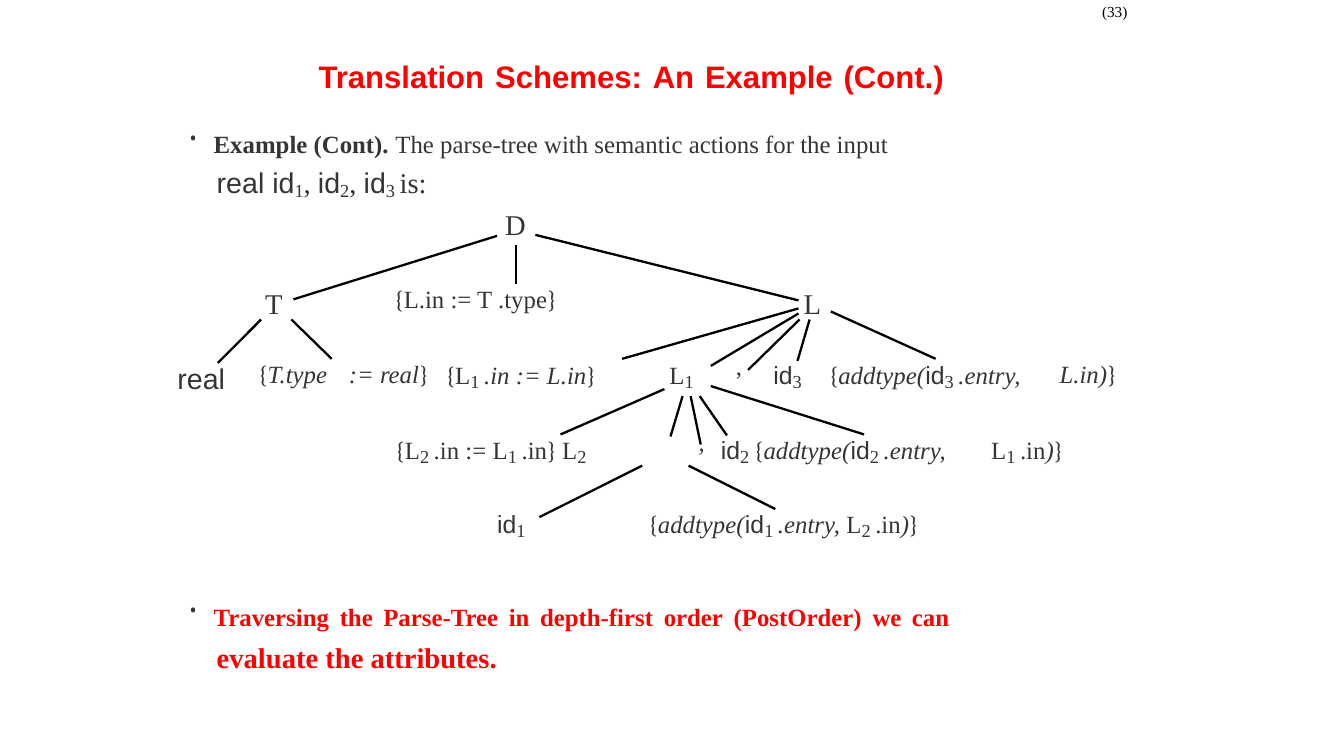
from lxml import etree
from pptx import Presentation
from pptx.dml.color import RGBColor
from pptx.enum.shapes import MSO_CONNECTOR
from pptx.enum.text import MSO_ANCHOR, PP_ALIGN
from pptx.oxml.ns import qn
from pptx.util import Inches, Pt

STRAIGHT = MSO_CONNECTOR.STRAIGHT
TOP = MSO_ANCHOR.TOP
LEFT = PP_ALIGN.LEFT

COLORS = {"ink": "363435", "red": "FF0000", "black": "000000"}
SERIF, SANS, BRACE = "Times New Roman", "Arial", "Cambria"
FULL, SMALL, NODE = 30.6, 22.5, 20.4  # FULL and SMALL shrink once a baseline shift is set

# font, size, bold, italic, colour, baseline shift in percent (None: that of the line)
STYLES = {
    "page": (SERIF, 10.9, False, False, "black", 0),
    "title": (SANS, 22.2, True, False, "red", 0),
    "brace": (BRACE, FULL, False, False, "ink", None),
    "roman": (SERIF, FULL, False, False, "ink", None),
    "italic": (SERIF, FULL, False, True, "ink", None),
    "token": (SANS, FULL, False, False, "ink", None),
    "sub": (SERIF, SMALL, False, False, "ink", -7),
    "strong": (SERIF, FULL, True, False, "ink", None),
    "alert": (SERIF, FULL, True, False, "red", None),
    "node": (SERIF, NODE, False, False, "ink", 0),
    "input": (SANS, NODE, False, False, "ink", 0),
    "index": (SERIF, SMALL, False, False, "ink", -12),
    "alert line": (SERIF, NODE, True, False, "red", 0),
}


def prepare(box):
    """Remove the insets of a text box and return its first paragraph."""
    frame = box.text_frame
    settings = {"margin_left": 0, "margin_top": 0, "margin_right": 0,
                "margin_bottom": 0, "word_wrap": True, "vertical_anchor": TOP}
    for name, value in settings.items():
        setattr(frame, name, value)
    return frame.paragraphs[0]


def write(para, runs, leading=21.2, lift=1, before=1.1, indent=0.01, word_gap=0):
    """Fill a paragraph with (style, text) runs; word_gap widens spaces, in points."""
    para.alignment = LEFT
    para.line_spacing, para.space_before = Pt(leading), Pt(before)
    properties = para._p.get_or_add_pPr()
    properties.set("marL", str(Inches(indent)))
    properties.set("indent", "0")
    for style, text in runs:
        name, size, bold, italic, color, shift = STYLES[style]
        pieces = text.replace(" ", "| |").split("|") if word_gap else [text]
        for piece in pieces:
            span = para.add_run()
            span.text = piece
            looks = {"name": name, "size": Pt(size), "bold": bold, "italic": italic}
            for key, value in looks.items():
                setattr(span.font, key, value)
            span.font.color.rgb = RGBColor.from_string(COLORS[color])
            baseline = lift if shift is None else shift
            run_properties = span.font._element
            if baseline:
                run_properties.set("baseline", str(baseline * 1000))
            if word_gap and piece == " ":
                run_properties.set("spc", str(round(word_gap * 100)))


deck = Presentation()
deck.slide_width, deck.slide_height = Inches(13.33), Inches(7.5)
slide = deck.slides.add_slide(deck.slide_layouts[5])

title = slide.shapes.title
place = {"left": 3.15, "top": 0.62, "width": 6.5, "height": 0.34}
for side, length in place.items():
    setattr(title, side, Inches(length))
write(prepare(title), [("title", "Translation Schemes: An Example (Cont.)")],
      leading=23, word_gap=1.5)

# Branches of the parse tree: from x, y to x, y
branches = {
    "D": [(4.93, 2.34, 2.91, 2.97), (5.12, 2.43, 5.12, 2.82), (5.31, 2.33, 7.92, 2.98)],
    "T": [(2.59, 3.17, 2.16, 3.6), (2.89, 3.17, 3.29, 3.56)],
    "L": [(7.92, 3.11, 7.05, 3.63), (7.92, 3.06, 6.17, 3.56), (7.93, 3.17, 7.42, 3.67),
          (8.03, 3.17, 7.91, 3.58), (8.24, 3.09, 9.28, 3.56)],
    "L1": [(6.77, 3.93, 6.65, 4.33), (6.59, 3.86, 5.56, 4.31), (6.85, 3.93, 6.95, 4.41),
           (6.94, 3.93, 7.21, 4.32), (7.05, 3.83, 8.57, 4.31)],
    "L2": [(6.37, 4.62, 5.35, 5.13), (6.83, 4.62, 7.69, 5.05)],
}
for parent, lines in branches.items():
    for ends in lines:
        branch = slide.shapes.add_connector(STRAIGHT, *[Inches(end) for end in ends])
        branch.line.color.rgb = RGBColor.from_string(COLORS["black"])
        branch.line.width = Pt(1.65)
        etree.SubElement(branch._element.spPr, qn("a:effectLst"))

identifier = {n: [("token", "id"), ("sub", n)] for n in "123"}
addtype = {n: [("brace", "{"), ("italic", "addtype("), ("token", "id"),
               ("sub", n + " "), ("italic", ".entry,")] for n in "123"}
close = [("italic", ")"), ("brace", "}")]

# Labels of the parse tree by top edge: left, width, runs
labels = {
    2.1: [(5.0, 0.3, [("node", "D")])],
    2.86: [(3.9, 2.47, [("brace", "{"), ("roman", "L.in := T .type"), ("brace", "}")])],
    2.88: [(2.62, 0.25, [("node", "T")]), (7.96, 0.28, [("node", "L")])],
    3.52: [(7.29, 0.14, [("roman", ",")])],
    3.6: [
        (2.55, 0.89, [("brace", "{"), ("italic", "T.type")]),
        (3.45, 0.95, [("italic", ":= real"), ("brace", "}")]),
        (4.41, 2.04, [("brace", "{"), ("roman", "L"), ("sub", "1 "),
                      ("italic", ".in := L.in"), ("brace", "}")]),
        (6.63, 0.41, [("roman", "L"), ("sub", "1")]),
        (7.66, 0.42, identifier["3"]),
        (8.21, 2.29, addtype["3"]),
        (10.5, 0.76, [("italic", "L.in")] + close),
    ],
    3.63: [(1.75, 0.54, [("input", "real")])],
    4.27: [(6.92, 0.14, [("roman", ",")])],
    4.34: [
        (3.91, 2.91, [("brace", "{"), ("roman", "L"), ("sub", "2 "), ("roman", ".in := L"),
                      ("sub", "1 "), ("roman", ".in"), ("brace", "} "),
                      ("roman", "L"), ("sub", "2")]),
        (7.14, 2.67, identifier["2"] + [("sub", " ")] + addtype["2"]),
        (9.82, 1.07, [("roman", "L"), ("sub", "1 "), ("roman", ".in")] + close),
    ],
    5.08: [
        (4.92, 0.42, identifier["1"]),
        (6.42, 3.36, addtype["1"] + [("roman", " L"), ("sub", "2 "), ("roman", ".in")] + close),
    ],
}
for top, row in labels.items():
    for left, width, runs in row:
        box = slide.shapes.add_textbox(Inches(left), Inches(top), Inches(width), Inches(0.32))
        has_index = any(style == "sub" for style, text in runs)
        write(prepare(box), runs, leading=23 if has_index else 21.2, lift=4 if has_index else 1)

page_number = slide.shapes.add_textbox(Inches(10.92), Inches(0.04), Inches(0.31), Inches(0.18))
write(prepare(page_number), [("page", "(33)")], leading=11.8, before=0.6)

# Bulleted statements: top, height, word gap, first line, second line
statements = [
    (1.32, 0.73, 0,
     [("strong", "Example (Cont). "),
      ("roman", "The parse-tree with semantic actions for the input")],
     [("input", "real id"), ("index", "1"), ("node", ", "), ("input", "id"), ("index", "2"),
      ("node", ", "), ("input", "id"), ("index", "3 "), ("node", "is:")]),
    (6.01, 0.73, 3,
     [("alert", "Traversing the Parse-Tree in depth-first order (PostOrder) we can")],
     [("alert line", "evaluate the attributes.")]),
]
for top, height, word_gap, first_line, second_line in statements:
    box = slide.shapes.add_textbox(Inches(1.85), Inches(top), Inches(8.64), Inches(height))
    para = prepare(box)
    write(para, first_line, leading=21.3, indent=0.27, word_gap=word_gap)
    properties = para._p.get_or_add_pPr()
    properties.set("indent", str(-Inches(0.26)))
    color = etree.SubElement(properties, qn("a:buClr"))
    etree.SubElement(color, qn("a:srgbClr"), val=COLORS["ink"])
    etree.SubElement(properties, qn("a:buSzPct"), val="58000")
    etree.SubElement(properties, qn("a:buFont"), typeface=BRACE)
    etree.SubElement(properties, qn("a:buChar"), char="•")
    write(box.text_frame.add_paragraph(), second_line, leading=22.1, before=5.4, indent=0.3)

deck.save("out.pptx")
